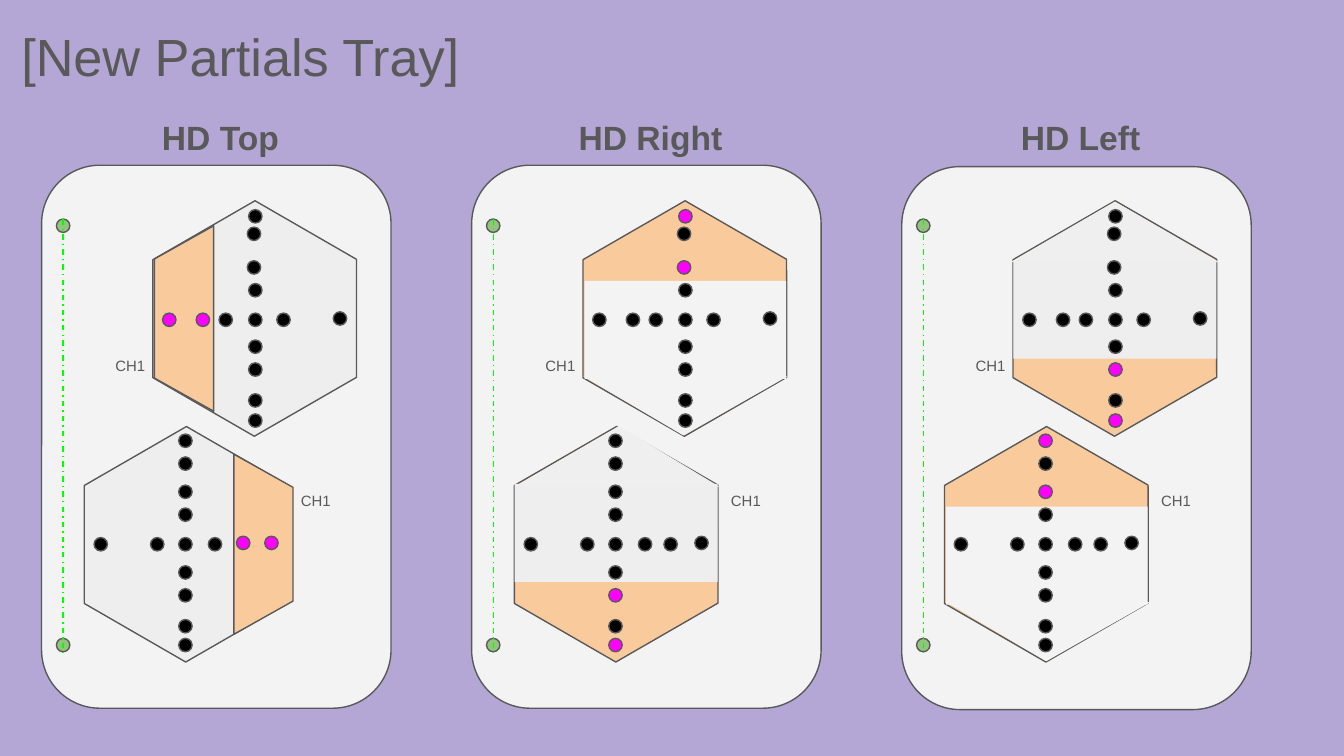
import pptx
import pptx.util
import pptx.dml.color
import pptx.enum.dml
import pptx.enum.shapes
import pptx.enum.text
import pptx.oxml

KIND = pptx.enum.shapes.MSO_SHAPE
ANCHOR = pptx.enum.text.MSO_ANCHOR
ALIGN = pptx.enum.text.PP_ALIGN
SCALE = 9144  # EMU in one px, at 100 px to the inch
GREY, PEACH, PINK, BLACK = "595959", "F9CB9C", "FF00FF", "000000"
PALE, MIST, SILVER = "F3F3F3", "EEEEEE", "EFEFEF"

PITCH = 320
DOT = 10
HEX = (175, 152)

# Pin places in a tray: the column from top to bottom, then the arms.
UPPER = [(154, 33), (153, 46), (153, 71)]
UPPER += [(154, y) for y in (88, 110, 130, 147, 170, 185)]
UPPER += [(90, 110), (115, 110), (132, 110), (175, 110), (217, 109)]
LOWER = [(102, y) for y in (200, 217, 238, 255, 277, 298, 315, 338, 352)]
LOWER += [(39, 277), (81, 277), (124, 277)]
TIP = (166, 276)

# Cover: kind, box in the tray, turn, fill, adjustment, outline
TRAYS = [
    dict(name="HD Top", drop=0, base=MIST, inner=(145, 276),
         hot=((9, 10), (12, 13)), covers=[
             (KIND.TRAPEZOID, (98, 260, 134, 44), 90, PEACH, 0.56, GREY),
             (KIND.TRAPEZOID, (37, 92, 138, 44), 270, PEACH, 0.56, GREY)]),
    dict(name="HD Right", drop=0, base=PEACH, inner=(143, 277),
         hot=((0, 2), (6, 8)), covers=[
             (KIND.RECTANGLE, (32, 237, 151, 73), 0, MIST, None, None),
             (KIND.ISOSCELES_TRIANGLE, (32, 194, 152, 45), 0, SILVER, 0.51, None),
             (KIND.RECTANGLE, (84, 86, 150, 73), 0, PALE, None, None),
             (KIND.ISOSCELES_TRIANGLE, (83, 157, 152, 44), 180, PALE, 0.51, None)]),
    dict(name="HD Left", drop=1, base=PEACH, inner=(143, 277),
         hot=((6, 8), (0, 2)), covers=[
             (KIND.ISOSCELES_TRIANGLE, (81, 27, 155, 45), 0, SILVER, 0.5, None),
             (KIND.RECTANGLE, (33, 254, 150, 73), 0, PALE, None, None),
             (KIND.RECTANGLE, (83, 71, 151, 73), 0, MIST, None, None),
             (KIND.ISOSCELES_TRIANGLE, (33, 325, 152, 44), 180, PALE, 0.51, None)]),
]


def px(*vals):
    return [pptx.util.Emu(v * SCALE) for v in vals]


def tint(code):
    return pptx.dml.color.RGBColor.from_string(code)


def format_all(item, vals):
    for key, val in vals.items():
        setattr(item, key, val)


def add_shape(slide, kind, box, fill, edge=GREY, turn=0, adj=()):
    shape = slide.shapes.add_shape(kind, *px(*box))
    shape.shadow.inherit = False
    shape.rotation = turn
    for i, val in enumerate(adj):
        shape.adjustments[i] = val
    shape.fill.solid()
    shape.fill.fore_color.rgb = tint(fill)
    if edge:
        shape.line.color.rgb = tint(edge)
        shape.line.width = pptx.util.Pt(0.75)
    else:
        shape.line.fill.background()


def add_text(slide, box, text, size, bold=False, align=ALIGN.LEFT,
             anchor=ANCHOR.TOP):
    frame = slide.shapes.add_textbox(*px(*box)).text_frame
    pad = px(10)[0]
    format_all(frame, dict(
        word_wrap=True, vertical_anchor=anchor, margin_left=pad,
        margin_right=pad, margin_top=pad, margin_bottom=pad))
    para = frame.paragraphs[0]
    para.alignment = align
    run = para.add_run()
    run.text = text
    format_all(run.font, dict(name="Arial", size=pptx.util.Pt(size), bold=bold))
    run.font.color.rgb = tint(GREY)


def add_axis(slide, x, top, end):
    """Draw the green dash-dot line with a dot at each end."""
    for y in (end - 11, top):
        add_shape(slide, KIND.OVAL, (x - 5, y, DOT, DOT), "93C47D")
    line = slide.shapes.add_connector(
        pptx.enum.shapes.MSO_CONNECTOR.STRAIGHT, *px(x, top, x, end))
    line.line.color.rgb = tint("00FF00")
    format_all(line.line, dict(
        width=pptx.util.Pt(0.75),
        dash_style=pptx.enum.dml.MSO_LINE.DASH_DOT))
    line._element.spPr.append(pptx.oxml.parse_xml(
        '<a:effectLst xmlns:a='
        '"http://schemas.openxmlformats.org/drawingml/2006/main"/>'))


def add_pins(slide, left, top, pins, hot):
    for i, (x, y) in enumerate(pins):
        fill = PINK if i in hot else BLACK
        add_shape(slide, KIND.OVAL, (left + x, top + y, DOT, DOT), fill)


def add_tray(slide, box, tray):
    left, top, wide, high = box
    add_text(slide, (left + 29, top - 46, 208, 41), tray["name"], 18,
             bold=True, align=ALIGN.CENTER)
    add_shape(slide, KIND.ROUNDED_RECTANGLE,
              (left, top + tray["drop"], wide, high), PALE, adj=(0.167,))
    for x, y in ((71, 38), (20, 206)):
        add_shape(slide, KIND.HEXAGON, (left + x, top + y, *HEX),
                  tray["base"], turn=30, adj=(0.289, 1.155))
    for x, y in ((45, 136), (183, 236)):
        add_text(slide, (left + x, top + y, 48, 26), "CH1", 8)
    add_axis(slide, left + 16, top + 40, top + 363)
    for kind, (x, y, w, h), turn, fill, adj, edge in tray["covers"]:
        add_shape(slide, kind, (left + x, top + y, w, h), fill, edge, turn,
                  (adj,) if adj else ())
    lower = LOWER + [tray["inner"], TIP]
    for pins, hot in zip((UPPER, lower), tray["hot"]):
        add_pins(slide, left, top, pins, hot)


def main():
    deck = pptx.Presentation()
    wide = pptx.util.Inches(10)
    format_all(deck, dict(slide_width=wide, slide_height=wide * 9 // 16))
    slide = deck.slides.add_slide(deck.slide_layouts[6])
    slide.background.fill.solid()
    slide.background.fill.fore_color.rgb = tint("B4A7D6")
    add_text(slide, (6, 5, 819, 73), "[New Partials Tray]", 28,
             anchor=ANCHOR.MIDDLE)
    for i, tray in enumerate(TRAYS):
        add_tray(slide, (31 + i * PITCH, 123, 260, 404), tray)
    deck.save("out.pptx")


if __name__ == "__main__":
    main()
